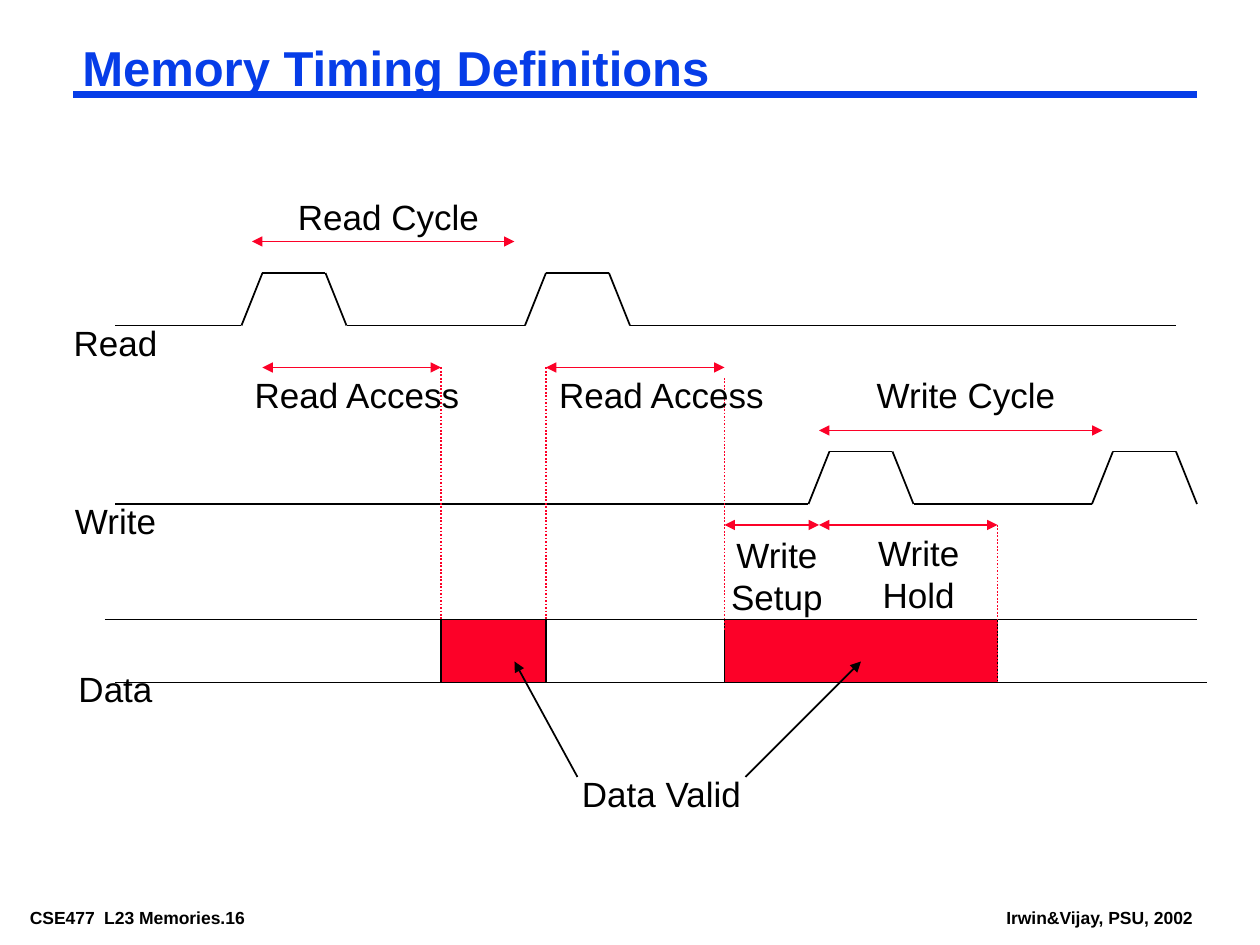
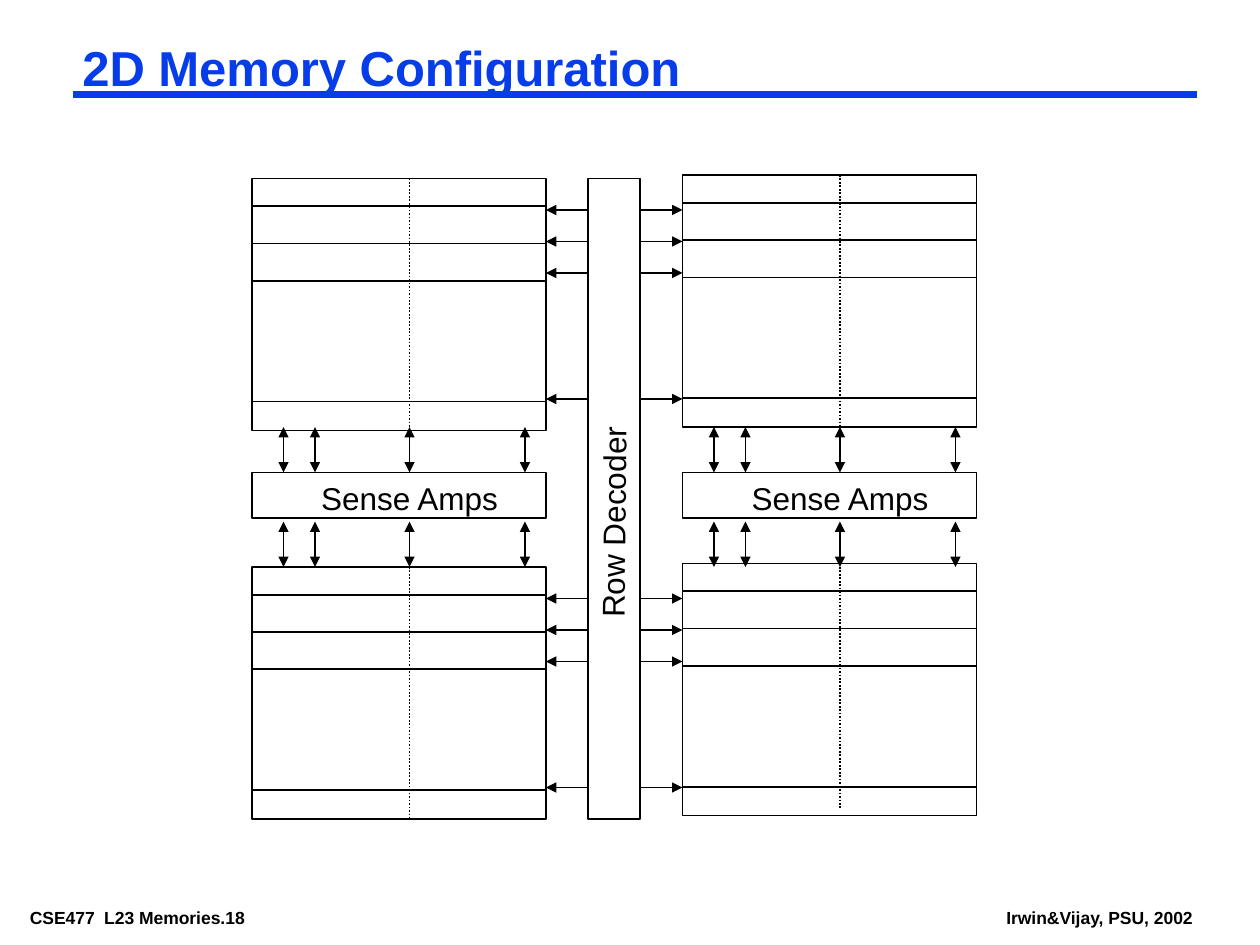
from itertools import pairwise

from lxml.etree import SubElement
from pptx import Presentation
from pptx.dml.color import RGBColor
from pptx.enum.dml import MSO_LINE
from pptx.enum.shapes import MSO_CONNECTOR as Conn, MSO_SHAPE as Shape
from pptx.enum.text import MSO_ANCHOR as Anchor, MSO_AUTO_SIZE as Fit, PP_ALIGN as Align
from pptx.oxml.ns import qn
from pptx.util import Inches, Pt

COLS, ROWS = 120, 90
BLACK, BLUE, RED = "000000", "063DE8", "FC0128"


def paint(text):
    return RGBColor.from_string(text)


class Deck:
    """Holds the style and the current slide; lengths are grid columns and rows."""

    def __init__(self):
        self.prs = Presentation()
        self.prs.slide_width, self.prs.slide_height = Inches(10), Inches(7.5)
        self.slide = None

    def grid(self, x, y):
        return (round(self.prs.slide_width * x / COLS),
                round(self.prs.slide_height * y / ROWS))

    def page(self, title, number):
        self.slide = self.prs.slides.add_slide(self.prs.slide_layouts[5])
        self.foot(f"CSE477\tL23 Memories.{number}", 2, 28, tab=0.59)
        self.foot("Irwin&Vijay, PSU, 2002", 95, 20)
        self.line((7, 9), (114, 9), BLUE, 4.5)
        head = self.slide.shapes.title
        head.left, head.top = self.grid(7, 4)
        head.width, head.height = self.grid(107, 5.5)
        self.style(head, title, 28, BLUE, True, Align.LEFT, (0.07, 0.03))
        head.text_frame.paragraphs[0].line_spacing = 0.87

    def style(self, box, text, size, color, bold, align, pad, tab=None):
        """Set the text of a box and format it; tab is a stop in inches."""
        frame = box.text_frame
        frame.text = text
        frame.word_wrap, frame.auto_size = True, Fit.NONE
        frame.vertical_anchor = Anchor.TOP
        frame.margin_left = frame.margin_right = Inches(pad[0])
        frame.margin_top = frame.margin_bottom = Inches(pad[1])
        para = frame.paragraphs[0]
        para.alignment = align
        if tab:
            stops = SubElement(para._p.get_or_add_pPr(), qn("a:tabLst"))
            SubElement(stops, qn("a:tab"), pos=str(Inches(tab)), algn="l")
        for run in para.runs:
            font = run.font
            font.name, font.size, font.bold = "Arial", Pt(size), bold
            font.color.rgb = paint(color)

    def text(self, text, x, y, wide, high=5.3, size=20, bold=False,
             align=Align.CENTER, pad=(0.1, 0.05), tab=None):
        box = self.slide.shapes.add_textbox(*self.grid(x, y), *self.grid(wide, high))
        self.style(box, text, size, BLACK, bold, align, pad, tab)
        return box

    def foot(self, text, x, wide, tab=None):
        self.text(text, x, 86, wide, 2.7, 10, True, Align.LEFT, (0.07, 0.03), tab)

    def line(self, start, end, color=BLACK, width=1, tips="", dots=False):
        """Draw a line; tips names the arrowheads, "head" at start and "tail" at end."""
        link = self.slide.shapes.add_connector(
            Conn.STRAIGHT, *self.grid(*start), *self.grid(*end))
        link.line.color.rgb, link.line.width = paint(color), Pt(width)
        if dots:
            link.line.dash_style = MSO_LINE.ROUND_DOT
        for tip in tips.split():
            SubElement(link.line._ln, qn(f"a:{tip}End"), type="triangle")
        SubElement(link._element.spPr, qn("a:effectLst"))

    def span(self, start, end, color=BLACK):
        self.line(start, end, color, tips="head tail")

    def rect(self, x, y, wide, high, fill=None):
        box = self.slide.shapes.add_shape(
            Shape.RECTANGLE, *self.grid(x, y), *self.grid(wide, high))
        box.shadow.inherit = False
        box.line.color.rgb, box.line.width = paint(BLACK), Pt(1)
        if fill:
            box.fill.solid()
            box.fill.fore_color.rgb = paint(fill)
        else:
            box.fill.background()

    def wave(self, base, pulses, end):
        """Draw a signal that rises five rows above base at each pulse."""
        knots = [(11, base)]
        for x in pulses:
            knots += [(x, base), (x + 2, base - 5), (x + 8, base - 5), (x + 10, base)]
        if end > knots[-1][0]:
            knots.append((end, base))
        for start, stop in pairwise(knots):
            self.line(start, stop)

    def bank(self, x, y, mid):
        """Draw a memory block with its word lines and dotted middle column."""
        self.rect(x, y, 28, 24)
        for row in (2.65, 6.2, 9.75, 21.25):
            self.line((x, y + row), (x + 28, y + row))
        self.line((x + 15, mid), (x + 15, mid + 24), dots=True)


def timing(deck):
    deck.page("Memory Timing Definitions", 16)
    deck.wave(31, (23, 50), 112)
    deck.wave(48, (77, 104), 114)
    deck.line((10, 59), (114, 59))
    deck.line((11, 65), (115, 65))
    for left, right in ((42, 52), (69, 95)):
        deck.rect(left, 59, right - left, 6, RED)
    for left, right, y in ((24, 49, 23), (25, 42, 35), (52, 69, 35),
                           (78, 105, 41), (69, 78, 50), (78, 95, 50)):
        deck.span((left, y), (right, y), RED)
    for x, top, low in ((42, 35, 59), (52, 35, 59), (69, 36, 60), (95, 50, 65)):
        deck.line((x, top), (x, low), RED, dots=True)
    for name, y in (("Read", 30), ("Write", 47), ("Data", 63)):
        deck.text(name, 0, y, 22)
    for name, x, y, wide in (
            ("Read Cycle", 26, 18, 22), ("Read Access", 22, 35, 24),
            ("Read Access", 51, 35, 24), ("Write Cycle", 81, 35, 22),
            ("Data Valid", 52, 73, 22)):
        deck.text(name, x, y, wide)
    deck.text("Write Setup", 65, 50.2, 18, 9.2)
    deck.text("Write Hold", 80, 50, 15, 9.2)
    for start, end in ((55, 49), (71, 82)):
        deck.line((start, 74), (end, 63), tips="tail")


def layout(deck):
    deck.page("2D Memory Configuration", 18)
    label = deck.text("Row Decoder", 47.4, 46.6, 22, 4.8, size=18, align=Align.LEFT)
    label.rotation = 270.6
    deck.rect(56, 17, 5, 61)
    for x, lift, drop in ((24, 0, 0), (65, 0.33, 1)):
        deck.bank(x, 17 - lift, 17 - lift)
        deck.bank(x, 54 - lift, 54 - drop)
        deck.rect(x, 45, 28, 4.35)
        deck.text("Sense Amps", x + 2, 45, 26, 4.8, size=18)
        for col in (3, 6, 15, 26):
            for top in (40.67, 49.67):
                deck.span((x + col, top), (x + col, top + 4.33))
    for top in (17, 54):
        for row in (3, 6, 9, 21):
            for start, end in ((56, 52), (61, 65)):
                deck.line((start, top + row), (end, top + row), tips="tail")


def main():
    deck = Deck()
    timing(deck)
    layout(deck)
    deck.prs.save("out.pptx")


if __name__ == "__main__":
    main()
